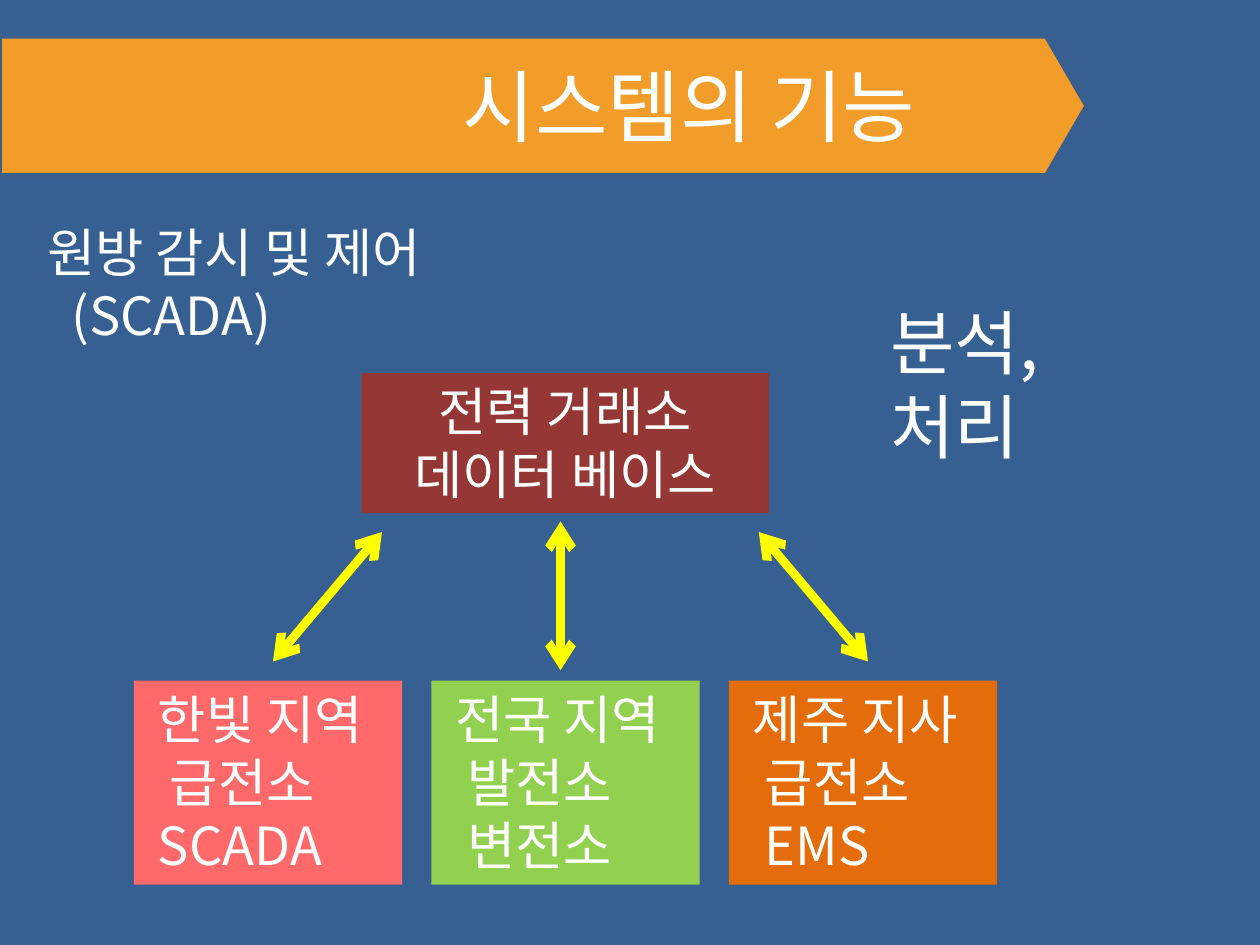
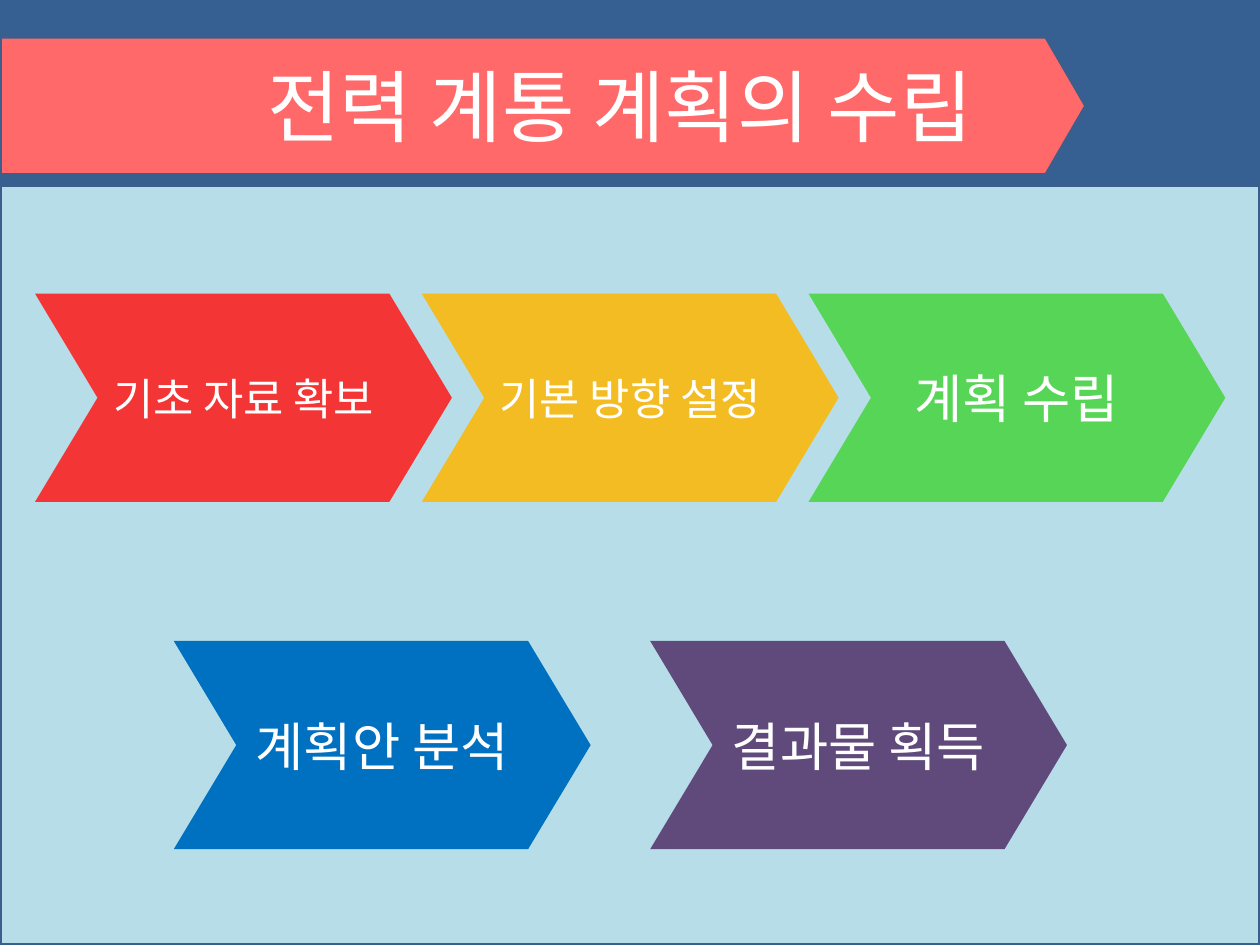
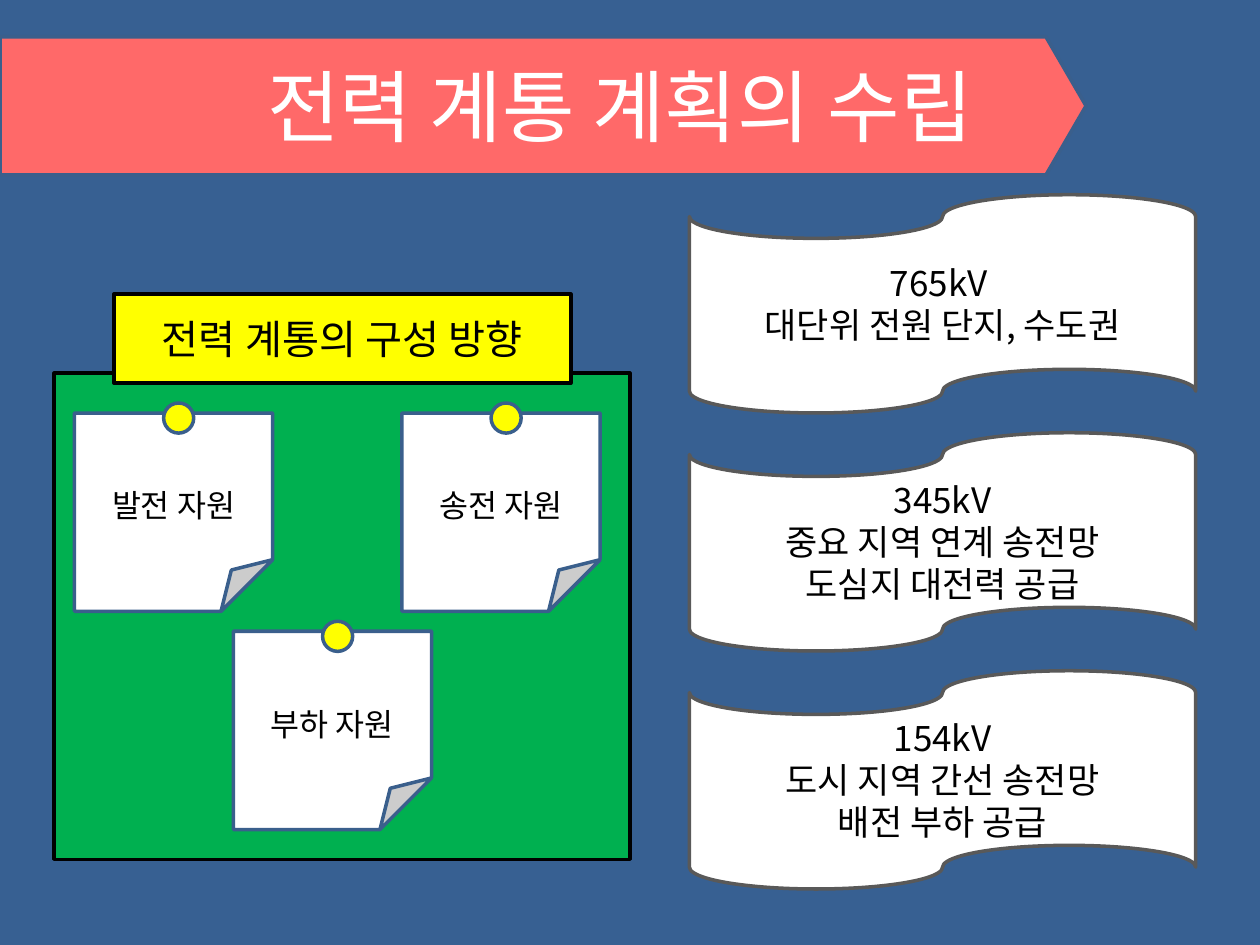
from lxml import etree
from pptx import Presentation
from pptx.dml.color import RGBColor
from pptx.enum.shapes import MSO_CONNECTOR, MSO_SHAPE
from pptx.enum.text import MSO_ANCHOR, PP_ALIGN
from pptx.oxml.ns import qn
from pptx.util import Pt

RECT = MSO_SHAPE.RECTANGLE
HOME = MSO_SHAPE.PENTAGON
CHEV = MSO_SHAPE.CHEVRON
NOTE = MSO_SHAPE.FOLDED_CORNER
OVAL = MSO_SHAPE.OVAL
TAPE = MSO_SHAPE.FLOWCHART_PUNCHED_TAPE
LINE = MSO_CONNECTOR.STRAIGHT
TOP, MID = MSO_ANCHOR.TOP, MSO_ANCHOR.MIDDLE
LEFT, CENTER = PP_ALIGN.LEFT, PP_ALIGN.CENTER

FONT = "Noto Sans CJK KR"
WHITE, BLACK, YELLOW = "FFFFFF", "000000", "FFFF00"
BACK, EDGE, CORAL = "376092", "3A5F8C", "FF6969"


def color(code):
    return RGBColor.from_string(code)


def write(shape, text, size=30, ink=WHITE, align=CENTER, anchor=MID,
          dents=(), side=0, top=3.6):
    frame = shape.text_frame
    frame.word_wrap = True
    frame.vertical_anchor = anchor
    frame.margin_left = frame.margin_right = Pt(side)
    frame.margin_top, frame.margin_bottom = Pt(top), Pt(3.6)
    for i, words in enumerate(text.split("\n")):
        para = frame.paragraphs[0] if i == 0 else frame.add_paragraph()
        para.alignment = align
        if dents:
            props = para._p.get_or_add_pPr()
            props.set("marL", str(Pt(dents[i])))
            props.set("indent", "0")
        run = para.add_run()
        run.text = words
        run.font.size = Pt(size)
        run.font.name = FONT
        run.font.color.rgb = color(ink)
        east = etree.SubElement(run._r.get_or_add_rPr(), qn("a:ea"))
        east.set("typeface", FONT)


class Deck:
    def __init__(self):
        self.show = Presentation()
        self.show.slide_width, self.show.slide_height = Pt(720), Pt(540)

    def page(self):
        self.slide = self.show.slides.add_slide(self.show.slide_layouts[6])
        fill = self.slide.background.fill
        fill.solid()
        fill.fore_color.rgb = color(BACK)

    def shape(self, kind, box, fill, edge=None, bend=None):
        item = self.slide.shapes.add_shape(kind, *map(Pt, box))
        item.shadow.inherit = False
        item.fill.solid()
        item.fill.fore_color.rgb = color(fill)
        if edge:
            item.line.color.rgb = color(edge)
            item.line.width = Pt(2)
        else:
            item.line.fill.background()
        if bend is not None:
            geom = item._element.spPr.find(qn("a:prstGeom"))
            for old in list(geom):
                geom.remove(old)
            guide = etree.SubElement(etree.SubElement(geom, qn("a:avLst")),
                                     qn("a:gd"))
            guide.set("name", "adj")
            guide.set("fmla", f"val {round(bend * 100000)}")
        return item

    def label(self, box, text, **form):
        write(self.slide.shapes.add_textbox(*map(Pt, box)), text, **form)

    def title(self, text, fill, left):
        self.shape(HOME, (0, 21, 620.6, 79), fill, EDGE, 0.29)
        self.label((left, 15, 465, 90), text, size=45)

    def arrow(self, *ends):
        link = self.slide.shapes.add_connector(LINE, *map(Pt, ends))
        link.line.color.rgb = color(YELLOW)
        link.line.width = Pt(5)
        line = link.line._get_or_add_ln()
        for tag in ("a:headEnd", "a:tailEnd"):
            etree.SubElement(line, qn(tag)).set("type", "arrow")
        etree.SubElement(link._element.spPr, qn("a:effectLst"))


def roles(deck):
    deck.page()
    deck.title("시스템의 기능", "F29C2A", 161.3)
    flow = dict(align=LEFT, anchor=TOP, side=7.2)
    deck.label((20.2, 122.4, 249, 80), "원방 감시 및 제어\n(SCADA)",
               dents=(0, 13.5), **flow)
    sites = [
        ("한빛 지역\n급전소\nSCADA", CORAL, (6.7, 13.5, 6.7)),
        ("전국 지역\n발전소\n변전소", "92D050", (6.7, 13.5, 13.5)),
        ("제주 지사\n급전소\nEMS", "E46C0A", (6.7, 13.5, 13.5)),
    ]
    for i, (text, fill, dents) in enumerate(sites):
        site = deck.shape(RECT, (76.5 + 170 * i, 389, 153.3, 116.5), fill)
        write(site, text, dents=dents, **flow)
    base = deck.shape(RECT, (206.6, 213.3, 232.8, 80), "953735")
    write(base, "전력 거래소\n데이터 베이스", anchor=TOP)
    deck.arrow(156, 378, 218.3, 304)
    deck.arrow(320.3, 383, 320.3, 298)
    deck.arrow(433.6, 304, 496, 378)
    deck.label((501.8, 167.8, 193, 104), "분석,\n처리", size=40, **flow)


def steps(deck):
    deck.page()
    deck.shape(RECT, (0, 106, 720, 434), "B7DEE8", EDGE)
    deck.title("전력 계통 계획의 수립", CORAL, 121.7)
    rows = [
        (20, 221, 167.8, [("기초 자료 확보", "F33535", 25),
                          ("기본 방향 설정", "F2BC22", 25),
                          ("계획 수립", "57D557", 30)]),
        (99.3, 272.2, 366.3, [("계획안 분석", "0070C0", 30),
                              ("결과물 획득", "604A7B", 30)]),
    ]
    for left, step, top, items in rows:
        for i, (text, fill, size) in enumerate(items):
            box = (left + step * i, top, 238.2, 119)
            write(deck.shape(CHEV, box, fill, bend=0.3), text, size=size)


def plan(deck):
    deck.page()
    deck.title("전력 계통 계획의 수립", CORAL, 121.7)
    deck.shape(RECT, (31, 213.3, 329, 277.8), "00B050", BLACK)
    notes = [("발전 자원", 42.5, 236), ("송전 자원", 229.6, 236),
             ("부하 자원", 133.3, 360.7)]
    for text, left, top in notes:
        note = deck.shape(NOTE, (left, top, 113.3, 113.3), WHITE, EDGE, 0.26)
        write(note, text, size=18, ink=BLACK, top=25.2)
        deck.shape(OVAL, (left + 51, top - 5.7, 17.2, 17.2), YELLOW, EDGE)
    head = deck.shape(RECT, (65.2, 168, 261, 51), YELLOW, BLACK)
    write(head, "전력 계통의 구성 방향", size=23, ink=BLACK)
    tapes = ["765kV \n대단위 전원 단지, 수도권",
             "345kV\n중요 지역 연계 송전망\n도심지 대전력 공급",
             "154kV\n도시 지역 간선 송전망\n배전 부하 공급"]
    for i, text in enumerate(tapes):
        tape = deck.shape(TAPE, (394, 111.3 + 136 * i, 289.3, 124.7),
                          WHITE, "595959")
        write(tape, text, size=20, ink=BLACK)


def main():
    deck = Deck()
    roles(deck)
    steps(deck)
    plan(deck)
    deck.show.save("out.pptx")


if __name__ == "__main__":
    main()
